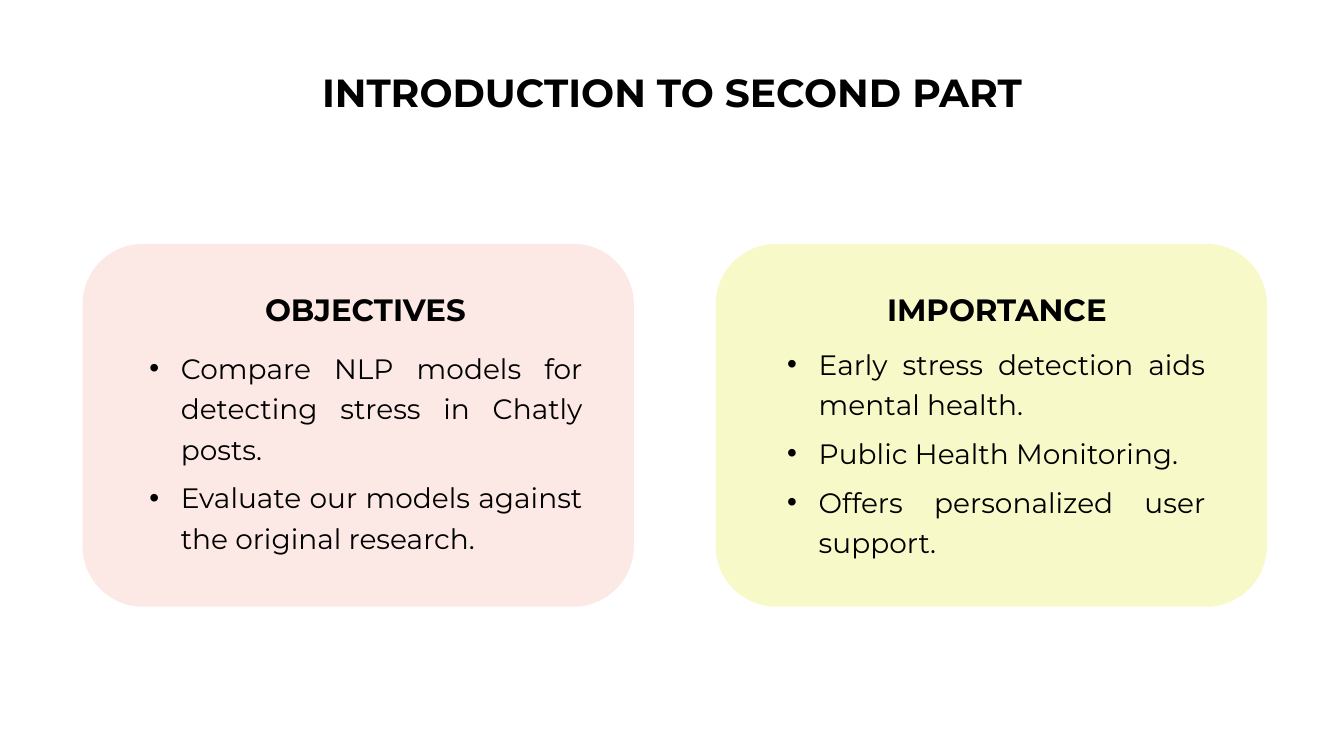
from lxml import etree
from pptx import Presentation
from pptx import util as u
from pptx.dml.color import RGBColor
from pptx.enum import shapes, text
from pptx.oxml import ns

BLACK = RGBColor(0x00, 0x00, 0x00)
PINK = RGBColor(0xFC, 0xE8, 0xE4)
LIME = RGBColor(0xE4, 0xEA, 0x27)
FONT = "Montserrat"
COMPARISON_LAYOUT = 3 + 1
CARD_TOP, CARD_WIDTH, CARD_HEIGHT = 174.2, 393.8, 259.2
HEADING_TOP, HEADING_HEIGHT = 203.8, 33.8


def write(paragraph, words, size=20, bold=False, align=text.PP_ALIGN.CENTER,
          spacing=1.0, after=0, bullet_indent=0):
    """Fill one paragraph and format it."""
    pPr = paragraph._p.get_or_add_pPr()
    indent = u.Pt(bullet_indent)
    pPr.set("marL", str(indent))
    pPr.set("indent", str(-indent))
    if bullet_indent:
        etree.SubElement(pPr, ns.qn("a:buFont"), typeface="Arial")
        etree.SubElement(pPr, ns.qn("a:buChar"), char="•")
    else:
        etree.SubElement(pPr, ns.qn("a:buNone"))
    paragraph.alignment = align
    paragraph.line_spacing = spacing
    paragraph.space_before, paragraph.space_after = u.Pt(0), u.Pt(after)
    run = paragraph.add_run()
    run.text = words
    run.font.name, run.font.size, run.font.bold = FONT, u.Pt(size), bold
    run.font.color.rgb = BLACK


class SlideBuilder:
    def __init__(self, slide):
        self.slide = slide

    def place(self, placeholder, box):
        """Move a placeholder and return its prepared text frame."""
        (placeholder.left, placeholder.top,
         placeholder.width, placeholder.height) = map(u.Pt, box)
        frame = placeholder.text_frame
        frame.word_wrap = True
        frame.auto_size = text.MSO_AUTO_SIZE.SHAPE_TO_FIT_TEXT
        frame.vertical_anchor = text.MSO_ANCHOR.TOP
        return frame

    def heading(self, placeholder, words, box, size):
        frame = self.place(placeholder, box)
        write(frame.paragraphs[0], words, size=size, bold=True)

    def bullets(self, placeholder, points, box):
        frame = self.place(placeholder, box)
        for i, point in enumerate(points):
            paragraph = frame.add_paragraph() if i else frame.paragraphs[0]
            write(paragraph, point, align=text.PP_ALIGN.JUSTIFY,
                  spacing=1.2, after=6, bullet_indent=22.5)

    def card(self, left, color, opacity):
        """Rounded panel behind the text."""
        card = self.slide.shapes.add_shape(
            shapes.MSO_SHAPE.ROUNDED_RECTANGLE,
            *map(u.Pt, (left, CARD_TOP, CARD_WIDTH, CARD_HEIGHT)))
        card.adjustments[0] = 0.167
        card.shadow.inherit = False
        card.fill.solid()
        card.fill.fore_color.rgb = color
        card.line.fill.background()
        if opacity < 100:
            fill = card.element.spPr.find(ns.qn("a:solidFill"))
            etree.SubElement(fill[0], ns.qn("a:alpha"), val=str(opacity * 1000))
        self.slide.shapes.title.element.addprevious(card.element)


def main():
    deck = Presentation()
    deck.slide_width, deck.slide_height = u.Pt(960), u.Pt(540)
    slide = deck.slides.add_slide(deck.slide_layouts[COMPARISON_LAYOUT])
    builder = SlideBuilder(slide)
    parts = {p.placeholder_format.idx: p for p in slide.placeholders}

    # Title
    builder.heading(slide.shapes.title, "INTRODUCTION TO SECOND PART",
                    (212.4, 45.4, 535, 41), 28)

    # Cards: left, colour, opacity, heading, its left and width, points, their box
    columns = [
        (59, PINK, 100, "OBJECTIVES", 180, 162,
         ["Compare NLP models for detecting stress in Chatly posts.",
          "Evaluate our models against the original research."],
         (99.4, 242.6, 324, 156.2)),
        (511.2, LIME, 25, "IMPORTANCE", 620.6, 183,
         ["Early stress detection aids mental health.",
          "Public Health Monitoring.",
          "Offers personalized user support."],
         (555.1, 239.8, 313.2, 162.7)),
    ]
    for i, (left, color, opacity, name, name_left, name_width,
            points, points_box) in enumerate(columns):
        builder.card(left, color, opacity)
        builder.heading(parts[2 * i + 1], name,
                        (name_left, HEADING_TOP, name_width, HEADING_HEIGHT), 22)
        builder.bullets(parts[2 * i + 2], points, points_box)

    deck.save("out.pptx")


if __name__ == "__main__":
    main()
